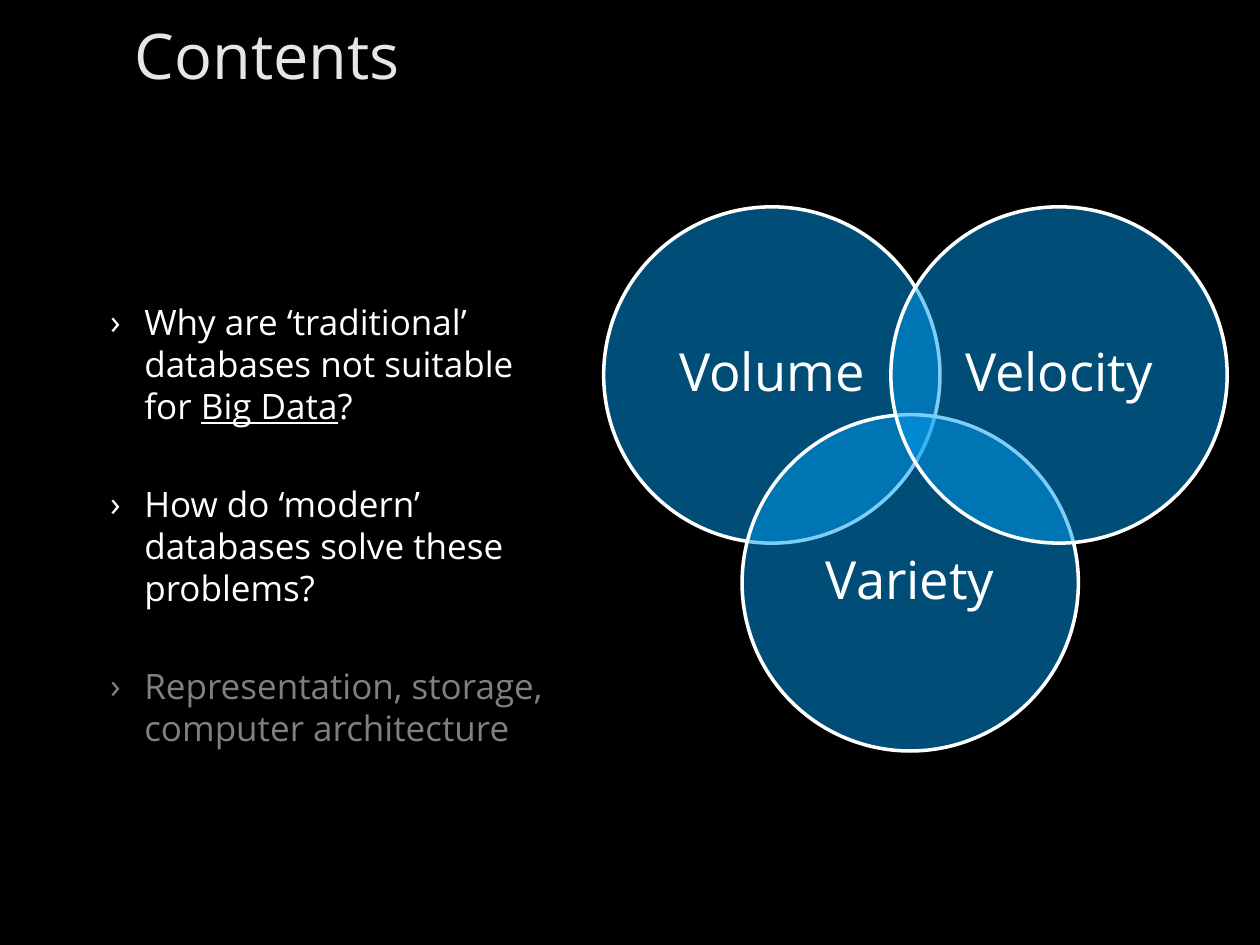
from dataclasses import dataclass
from lxml.etree import SubElement
from pptx import Presentation
from pptx.dml.color import RGBColor
from pptx.enum.shapes import MSO_SHAPE
from pptx.enum.text import MSO_ANCHOR, PP_ALIGN
from pptx.oxml.ns import qn
from pptx.util import Cm, Pt


@dataclass
class Theme:
    font = "Open Sans"
    back = RGBColor.from_string("000000")
    head = RGBColor.from_string("E6E6E6")
    text = RGBColor.from_string("FFFFFF")
    dim = RGBColor.from_string("808080")
    disc = RGBColor.from_string("009CEF")
    big = Pt(36)
    mid = Pt(30)
    small = Pt(20)


theme = Theme()


def add_box(left, top, width, height, sides, ends):
    box = slide.shapes.add_textbox(Cm(left), Cm(top), Cm(width), Cm(height))
    frame = box.text_frame
    frame.word_wrap = True
    frame.margin_left, frame.margin_right = Cm(sides[0]), Cm(sides[1])
    frame.margin_top = frame.margin_bottom = Cm(ends)
    return frame


def style(para, size, color):
    for run in para.runs:
        run.font.name = theme.font
        run.font.size = size
        run.font.color.rgb = color


deck = Presentation()
deck.slide_width, deck.slide_height = Cm(25.4), Cm(19.05)
slide = deck.slides.add_slide(deck.slide_layouts[6])
slide.background.fill.solid()
slide.background.fill.fore_color.rgb = theme.back

title = add_box(0, 0, 25.4, 2.21, (2.72, 0.76), 0.13)
title.vertical_anchor = MSO_ANCHOR.MIDDLE
title.text = "Contents"
style(title.paragraphs[0], theme.big, theme.head)

points = [
    (["Why are ‘traditional’ databases not suitable for ", "Big Data", "?"], theme.text),
    (["How do ‘modern’ databases solve these problems?"], theme.text),
    (["Representation, storage, computer architecture"], theme.dim),
]
body = add_box(-0.5, 5.92, 12.34, 8.66, (2.72, 0.76), 0.13)
for rank, (parts, color) in enumerate(points):
    para = body.add_paragraph() if rank else body.paragraphs[0]
    for part in parts:
        run = para.add_run()
        run.text = part
        run.font.underline = part == "Big Data"
    style(para, theme.small, color)
    para.line_spacing = Pt(24)
    para.space_before = Pt(32 if rank else 4)
    props = para._p.get_or_add_pPr()
    props.set("marL", str(Cm(0.69)))
    props.set("indent", str(Cm(-0.69)))
    SubElement(props, qn("a:buFont"), typeface=theme.font)
    SubElement(props, qn("a:buChar"), char="›")

size, inset = 6.78, 1
discs = [("Volume", 12.17, 4.17), ("Variety", 14.96, 8.36), ("Velocity", 17.96, 4.17)]
for name, left, top in discs:
    disc = slide.shapes.add_shape(MSO_SHAPE.OVAL, Cm(left), Cm(top), Cm(size), Cm(size))
    disc.shadow.inherit = False
    disc.fill.solid()
    disc.fill.fore_color.rgb = theme.disc
    tint = disc.fill._xPr.find(qn("a:solidFill"))[0]
    SubElement(tint, qn("a:alpha"), val="50000")
    disc.line.color.rgb = theme.text
    disc.line.width = Pt(2)

    side = size - 2 * inset
    label = add_box(left + inset, top + inset, side, side, (0.3, 0.3), 0.3)
    label.vertical_anchor = MSO_ANCHOR.MIDDLE
    label.text = name
    para = label.paragraphs[0]
    para.alignment = PP_ALIGN.CENTER
    para.line_spacing = 0.9
    style(para, theme.mid, theme.text)

deck.save("out.pptx")
